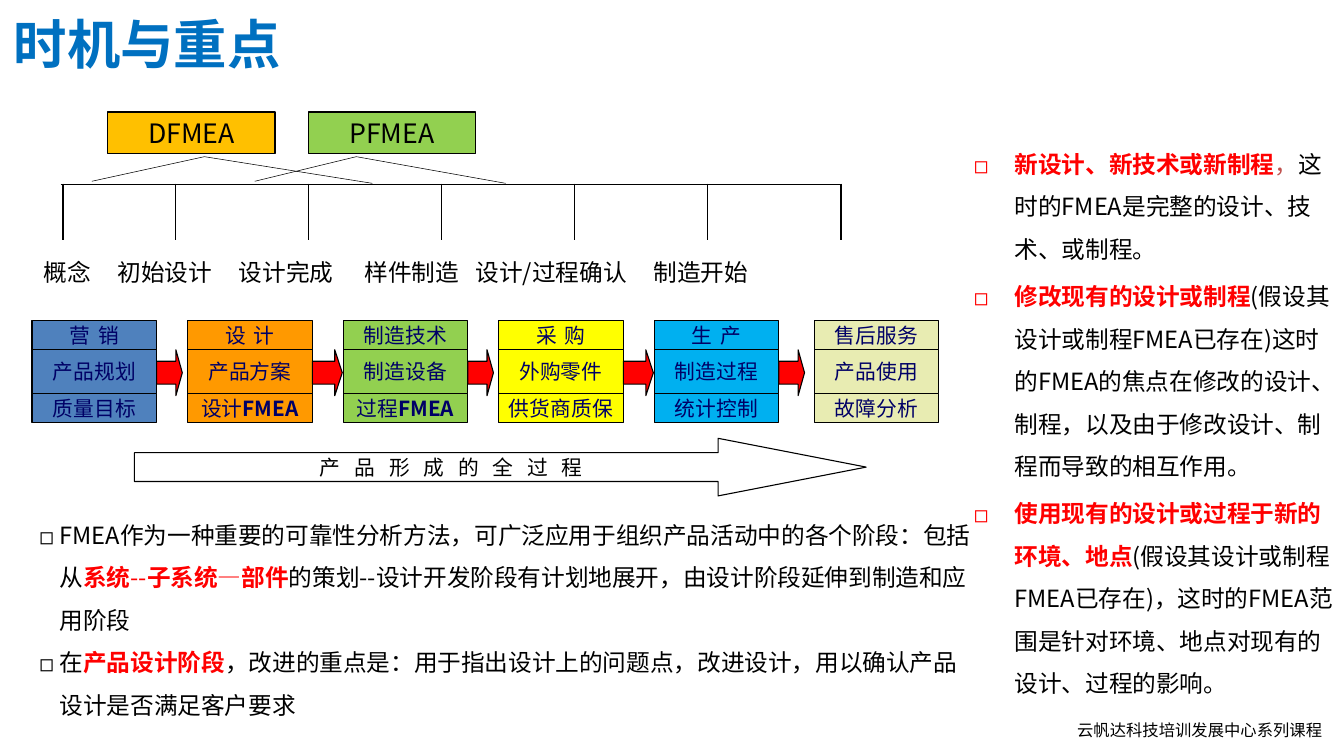
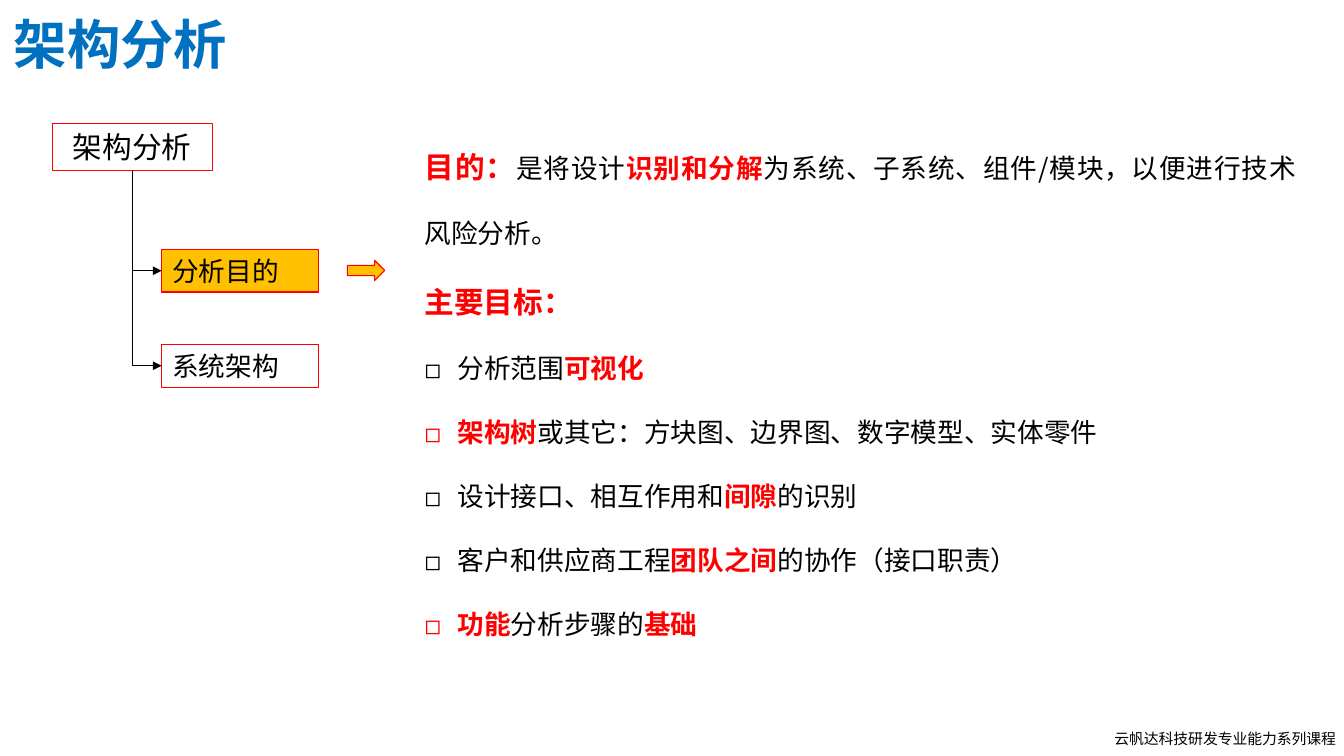
from dataclasses import dataclass
from typing import Any, NamedTuple, Optional

from lxml.etree import SubElement
from pptx import Presentation
from pptx.dml.color import RGBColor
from pptx.enum.shapes import MSO_CONNECTOR, MSO_SHAPE
from pptx.enum.text import MSO_ANCHOR, MSO_AUTO_SIZE, PP_ALIGN
from pptx.oxml.ns import qn
from pptx.util import Pt

FONT = "Noto Sans CJK SC"
COLORS = {
    "black": "000000", "white": "FFFFFF", "red": "FF0000", "title": "0070C0",
    "comma": "C0504D", "navy": "000066", "amber": "FFC000", "green": "92D050",
    "blue": "4F81BD", "orange": "FF9900", "yellow": "FFFF00", "sky": "00B0F0",
    "cream": "E8ECB2",
}


class Box(NamedTuple):
    left: float
    top: float
    width: float
    height: float


class Run(NamedTuple):
    text: str
    color: str = "black"
    bold: bool = False
    size: Optional[float] = None
    tracking: float = 0


class Stage(NamedTuple):
    fill: str
    rows: list[list[Run]]
    shift: float = 0


@dataclass
class ListStyle:
    size: float
    line: float
    indent: float
    gap: float = 0
    align: Any = PP_ALIGN.LEFT


@dataclass
class Item:
    runs: list[Run]
    bullet: bool = True
    line: Optional[float] = None


def rgb(name: str) -> RGBColor:
    return RGBColor.from_string(COLORS[name])


def red(text: str, size: Optional[float] = None) -> Run:
    return Run(text, "red", True, size)


def apply(target: Any, values: dict[str, Any]) -> None:
    for key, value in values.items():
        setattr(target, key, value)


def place(shape: Any, box: Box) -> None:
    apply(shape, {key: Pt(value) for key, value in box._asdict().items()})


# Text
def write_runs(paragraph: Any, runs: list[Run], size: float) -> None:
    for part in runs:
        run = paragraph.add_run()
        run.text = part.text
        apply(run.font, {"name": FONT, "size": Pt(part.size or size), "bold": part.bold})
        run.font.color.rgb = rgb(part.color)
        properties = run._r.get_or_add_rPr()
        SubElement(properties, qn("a:ea")).set("typeface", FONT)
        if part.tracking:
            properties.set("spc", str(round(part.tracking * 100)))


def write_line(shape: Any, runs: list[Run], size: float, align: Any = PP_ALIGN.LEFT,
               wrap: bool = False) -> None:
    frame = shape.text_frame
    apply(frame, {"word_wrap": wrap, "auto_size": MSO_AUTO_SIZE.NONE,
                  "vertical_anchor": MSO_ANCHOR.MIDDLE})
    frame.paragraphs[0].alignment = align
    write_runs(frame.paragraphs[0], runs, size)


def fill_list(body: Any, box: Box, items: list[Item], style: ListStyle) -> None:
    place(body, box)
    frame = body.text_frame
    apply(frame, {"word_wrap": True, "auto_size": MSO_AUTO_SIZE.NONE,
                  "vertical_anchor": MSO_ANCHOR.TOP})
    for index, item in enumerate(items):
        paragraph = frame.add_paragraph() if index else frame.paragraphs[0]
        properties = paragraph._p.get_or_add_pPr()
        indent = Pt(style.indent) if item.bullet else 0
        properties.set("marL", str(indent))
        properties.set("indent", str(-indent))
        if item.bullet:
            SubElement(properties, qn("a:buFont")).set("typeface", FONT)
            SubElement(properties, qn("a:buChar")).set("char", "◻")
        else:
            SubElement(properties, qn("a:buNone"))
        apply(paragraph, {"alignment": style.align,
                          "line_spacing": Pt(item.line or style.line),
                          "space_before": Pt(style.gap if index else 0)})
        write_runs(paragraph, item.runs, style.size)


# Shapes and lines
def draw_shape(slide: Any, kind: Any, box: Box, fill: Optional[str],
               line: str = "black") -> Any:
    shape = slide.shapes.add_shape(kind, *map(Pt, box))
    shape.shadow.inherit = False
    if fill:
        shape.fill.solid()
        shape.fill.fore_color.rgb = rgb(fill)
    else:
        shape.fill.background()
    shape.line.color.rgb = rgb(line)
    shape.line.width = Pt(0.75)
    return shape


def draw_arrow(slide: Any, box: Box, fill: str, head: float, line: str = "black") -> Any:
    arrow = draw_shape(slide, MSO_SHAPE.RIGHT_ARROW, box, fill, line)
    arrow.adjustments[0] = 0.5
    arrow.adjustments[1] = head
    return arrow


def draw_line(slide: Any, start: tuple[float, float], end: tuple[float, float],
              width: float, kind: Any = MSO_CONNECTOR.STRAIGHT) -> Any:
    line = slide.shapes.add_connector(kind, *map(Pt, (*start, *end)))
    line.line.color.rgb = rgb("black")
    line.line.width = Pt(width)
    SubElement(line._element.spPr, qn("a:effectLst"))
    return line


def draw_branch(slide: Any, start: tuple[float, float], end: tuple[float, float]) -> None:
    """Go down from start, then right to an arrowhead at end."""
    branch = draw_line(slide, start, end, 0.75, MSO_CONNECTOR.ELBOW)
    across, down = end[0] - start[0], end[1] - start[1]
    place(branch, Box((start[0] + end[0] - down) / 2, (start[1] + end[1] - across) / 2,
                      down, across))
    outline = branch._element.spPr
    outline.find(qn("a:prstGeom")).set("prst", "bentConnector2")
    outline.find(qn("a:xfrm")).set("rot", str(270 * 60000))
    outline.find(qn("a:xfrm")).set("flipH", "1")
    SubElement(outline.find(qn("a:ln")), qn("a:tailEnd")).set("type", "triangle")


# Shared slide frame
def start_slide(deck: Any, layout: int, title: str, footer: str, footer_box: Box,
                footer_size: float) -> Any:
    slide = deck.slides.add_slide(deck.slide_layouts[layout])
    heading = slide.shapes.title
    place(heading, Box(2.2, 3.6, 357, 51))
    write_line(heading, [Run(title, "title", True)], 36, wrap=True)
    write_line(slide.shapes.add_textbox(*map(Pt, footer_box)), [Run(footer)], footer_size)
    return slide


STAGES = [
    Stage("blue", [[Run("营 销", "navy", tracking=1)], [Run("产品规划", "navy")],
                   [Run("质量目标", "navy")]]),
    Stage("orange", [[Run("设 计", "navy", tracking=1)], [Run("产品方案", "navy")],
                     [Run("设计", "navy"), Run("FMEA", "navy", True)]]),
    Stage("green", [[Run("制造技术", "navy")], [Run("制造设备", "navy")],
                    [Run("过程", "navy"), Run("FMEA", "navy", True)]]),
    Stage("yellow", [[Run("采 购", "navy", tracking=1)], [Run("外购零件", "navy")],
                     [Run("供货商质保", "navy")]]),
    Stage("sky", [[Run("生 产", "navy", tracking=1)], [Run("制造过程", "navy")],
                  [Run("统计控制", "navy")]]),
    Stage("cream", [[Run("售后服务", "navy")], [Run("产品使用", "navy")],
                    [Run("故障分析", "navy")]], shift=3),
]

ROLE_ITEMS = [
    Item([Run("FMEA作为一种重要的可靠性分析方法，可广泛应用于组织产品活动中的各个阶段：包括从"),
          red("系统"), Run("--", "red"), red("子系统"), Run("—", "red"), red("部件"),
          Run("的策划--设计开发阶段有计划地展开，由设计阶段延伸到制造和应用阶段")]),
    Item([Run("在"), red("产品设计阶段"),
          Run("，改进的重点是：用于指出设计上的问题点，改进设计，用以确认产品设计是否满足客户要求")]),
]

TIMING_ITEMS = [
    Item([red("新设计、新技术或新制程"), Run("，", "comma"),
          Run("这时的FMEA是完整的设计、技术、或制程。")]),
    Item([red("修改现有的设计或制程"),
          Run("(假设其设计或制程FMEA已存在)这时的FMEA的焦点在修改的设计、制程，"
              "以及由于修改设计、制程而导致的相互作用。")]),
    Item([red("使用现有的设计或过程于新的环境、地点"),
          Run("(假设其设计或制程FMEA已存在)，这时的FMEA范围是针对环境、地点"
              "对现有的设计、过程的影响。")]),
]

PURPOSE_ITEMS = [
    Item([red("目的：", 20), Run("是将设计"), red("识别和分解"),
          Run("为系统、子系统、组件/模块，以便进行技术风险分析。")], bullet=False),
    Item([red("主要目标：", 20)], bullet=False, line=48),
    Item([Run("分析范围"), red("可视化")]),
    Item([red("架构树"), Run("或其它：方块图、边界图、数字模型、实体零件")]),
    Item([Run("设计接口、相互作用和"), red("间隙"), Run("的识别")]),
    Item([Run("客户和供应商工程"), red("团队之间"), Run("的协作（接口职责）")]),
    Item([red("功能"), Run("分析步骤的"), red("基础")]),
]


def draw_timeline(slide: Any) -> None:
    # Axis and ticks
    axis_y, tick_end, last_tick = 124.6, 162, 567.5
    ticks = [42.5] + [118.5 + 89.8 * step for step in range(6)]
    for x in ticks:
        draw_line(slide, (x, 124), (x, tick_end), 1.13 if x in (ticks[0], ticks[-1]) else 0.5)
    draw_line(slide, (41, axis_y), (last_tick + 0.5, axis_y), 1.13)

    # Analysis types and the span each covers
    for name, fill, left, apex, ends in (("DFMEA", "amber", 72.7, 138, (62, 251.3)),
                                         ("PFMEA", "green", 208.1, 240.5, (172, 341.3))):
        label = draw_shape(slide, MSO_SHAPE.RECTANGLE, Box(left, 75.6, 113, 28.1), fill)
        write_line(label, [Run(name)], 18, PP_ALIGN.CENTER)
        for x, y in zip(ends, (122.4, 123.8)):
            draw_line(slide, (apex, 105.8), (x, y), 0.38)

    # Phase names on tab stops
    phases = slide.shapes.add_textbox(*map(Pt, (22.5, 170.6, 566, 26.6)))
    properties = phases.text_frame.paragraphs[0]._p.get_or_add_pPr()
    stops = SubElement(properties, qn("a:tabLst"))
    for position in (49.9, 131.6, 216.6, 291.5, 411.6):
        stop = SubElement(stops, qn("a:tab"))
        stop.set("pos", str(Pt(position)))
        stop.set("algn", "l")
    names = ("概念", "初始设计", "设计完成", "样件制造", "设计/过程确认", "制造开始")
    write_line(phases, [Run("\t".join(names))], 16, wrap=True)


def draw_stages(slide: Any) -> None:
    first_left, pitch, width = 21.6, 105, 84.2
    row_bands = ((216.7, 19.5), (236.2, 29.5), (265.7, 19.4))
    for index, stage in enumerate(STAGES):
        left = first_left + pitch * index + stage.shift
        for runs, (top, height) in zip(stage.rows, row_bands):
            cell = draw_shape(slide, MSO_SHAPE.RECTANGLE, Box(left, top, width, height),
                              stage.fill)
            write_line(cell, runs, 14, PP_ALIGN.CENTER)
    for index in range(len(STAGES) - 1):
        draw_arrow(slide, Box(first_left + pitch * index + width, 236.2,
                              20.2 if index % 2 else 17.3, 31), "red", 0.25)
    whole_process = draw_arrow(slide, Box(90.7, 296, 494, 38.9), "white", 2.57)
    whole_process.text_frame.margin_right = Pt(23)
    write_line(whole_process, [Run("产 品 形 成 的 全 过 程", tracking=3.1)], 14,
               PP_ALIGN.CENTER)


def build_timing(deck: Any) -> None:
    slide = start_slide(deck, 3, "时机与重点", "云帆达科技培训发展中心系列课程",
                        Box(720, 482.4, 181.4, 20.9), 11)
    draw_timeline(slide)
    draw_stages(slide)
    fill_list(slide.placeholders[1], Box(19.4, 338.5, 643.7, 149), ROLE_ITEMS,
              ListStyle(16, 28.7, 13.7))
    fill_list(slide.placeholders[2], Box(650.2, 88, 257, 395), TIMING_ITEMS,
              ListStyle(16, 28.7, 27.4, gap=3.2))


def build_structure(deck: Any) -> None:
    slide = start_slide(deck, 1, "架构分析", "云帆达科技研发专业能力系列课程",
                        Box(745.2, 488.9, 170.6, 19.4), 10)
    fill_list(slide.placeholders[1], Box(279.4, 78, 602.6, 359), PURPOSE_ITEMS,
              ListStyle(18, 43.2, 22.3, align=PP_ALIGN.JUSTIFY))

    # Topic tree
    root = Box(35.3, 83.5, 108, 31.7)
    write_line(draw_shape(slide, MSO_SHAPE.RECTANGLE, root, None, "red"),
               [Run("架构分析")], 20, PP_ALIGN.CENTER, True)
    stem = (root.left + root.width / 2, root.top + root.height)
    for name, top, fill in (("分析目的", 168.4, "amber"), ("系统架构", 232.6, None)):
        topic = Box(109.1, top, 106, 28.8)
        write_line(draw_shape(slide, MSO_SHAPE.RECTANGLE, topic, fill, "red"),
                   [Run(name)], 18, PP_ALIGN.JUSTIFY, True)
        draw_branch(slide, stem, (topic.left, topic.top + topic.height / 2))
    draw_arrow(slide, Box(234.5, 175.8, 25.2, 13.7), "amber", 0.5, "red")


def main() -> None:
    deck = Presentation()
    apply(deck, {"slide_width": Pt(907.2), "slide_height": Pt(510.5)})
    build_timing(deck)
    build_structure(deck)
    deck.save("out.pptx")


if __name__ == "__main__":
    main()
